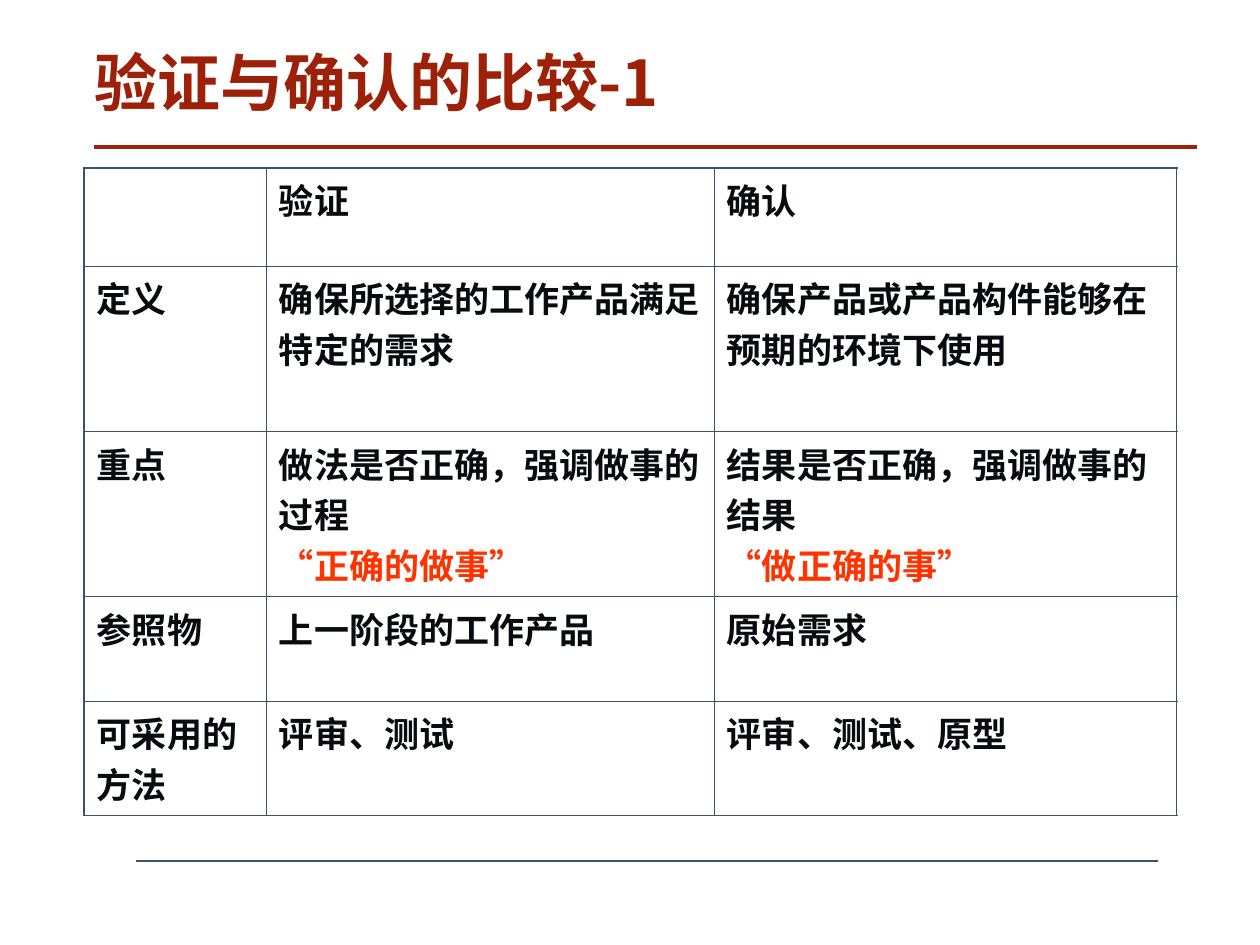
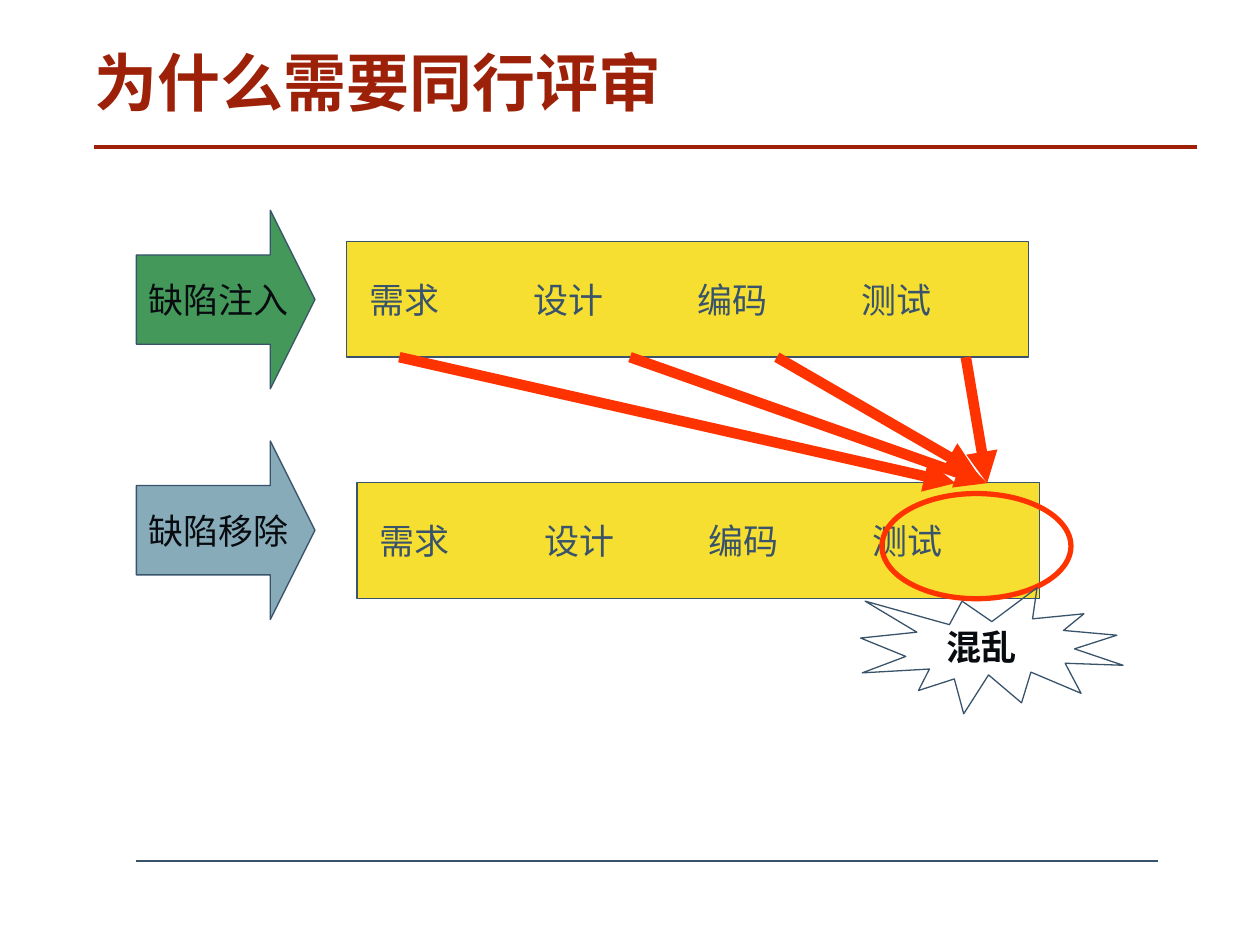
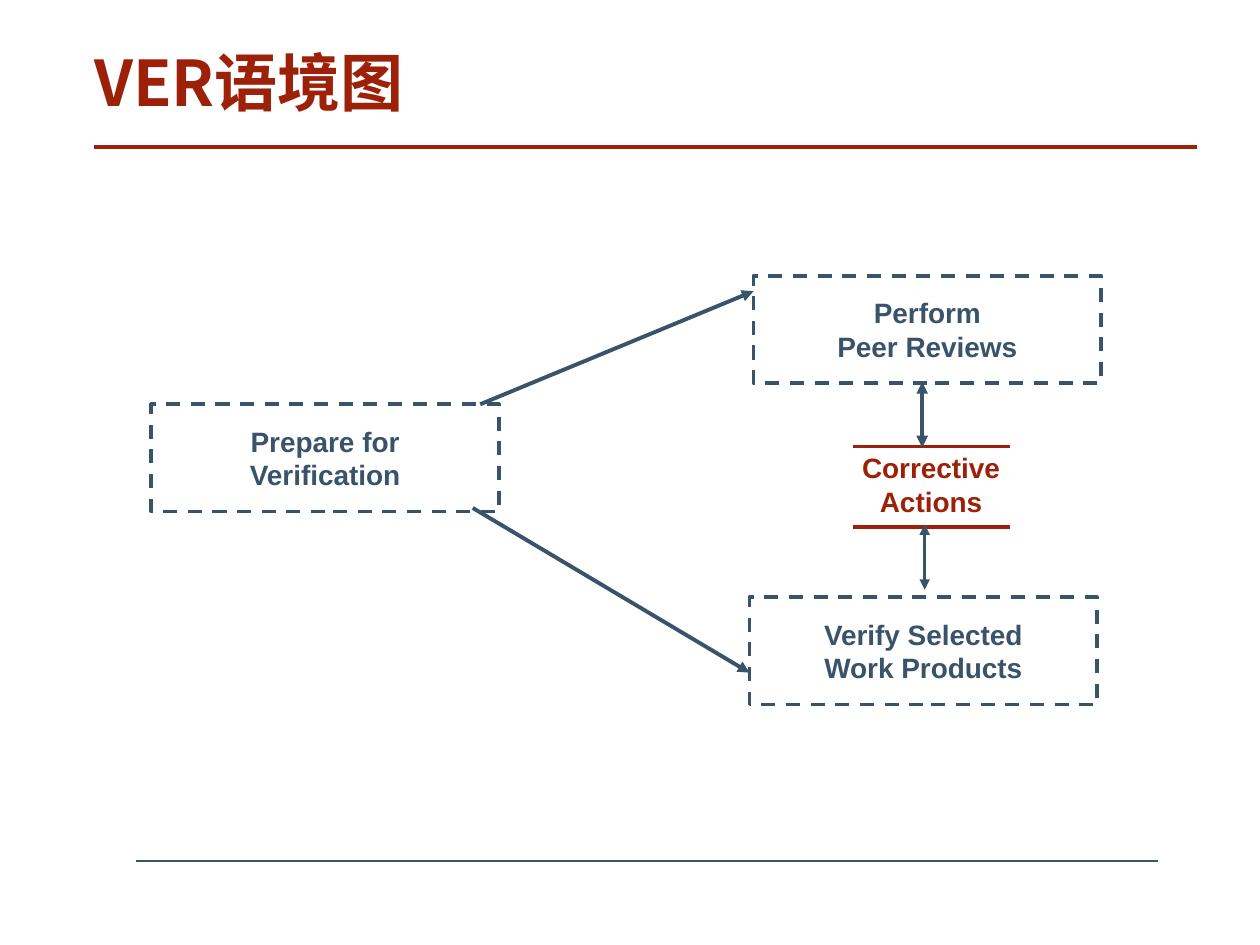
import pptx
import pptx.util
import pptx.dml.color
import pptx.enum.dml
import pptx.enum.shapes
import pptx.enum.text
import pptx.oxml.ns
from lxml import etree

Cm, Pt = pptx.util.Cm, pptx.util.Pt
SHAPE = pptx.enum.shapes.MSO_SHAPE
ALIGN = pptx.enum.text.PP_ALIGN
ANCHOR = pptx.enum.text.MSO_ANCHOR
qn = pptx.oxml.ns.qn

COLORS = {
    "slate": "39536B", "brick": "9C2108", "ink": "080C10", "red": "FF3300",
    "green": "44985A", "blue": "87ABB9", "yellow": "F7DF31",
}
CJK, LATIN = "Noto Sans CJK SC", "Arial"

FRAME_LINES = [
    ((2.75, 17.35), (23.34, 17.35), "slate", 1),
    ((1.9, 2.97), (24.13, 2.97), "brick", 2.25),
]
TITLE_BOX = (1.9, 1.07, 22.22, 1.55)

TABLE_TITLE = "验证与确认的比较-1"
TABLE_AT = (1.7, 3.38)
COL_WIDTHS = [3.67, 9.03, 9.32]
ROW_HEIGHTS = [1.98, 3.33, 3.33, 2.11, 2.31]
ROWS = [
    ["", "验证", "确认"],
    ["定义", "确保所选择的工作产品满足特定的需求", "确保产品或产品构件能够在预期的环境下使用"],
    ["重点", "做法是否正确，强调做事的过程", "结果是否正确，强调做事的结果"],
    ["参照物", "上一阶段的工作产品", "原始需求"],
    ["可采用的方法", "评审、测试", "评审、测试、原型"],
]
MOTTOS = {(2, 1): "“正确的做事”", (2, 2): "“做正确的事”"}

REVIEW_TITLE = "为什么需要同行评审"
STAGES = ["需求", "设计", "编码", "测试"]
STAGE_PITCH = 3.31
FLOWS = [
    ("缺陷注入", "green", 4.24, (6.98, 4.87)),
    ("缺陷移除", "blue", 8.89, (7.2, 9.73)),
]
ESCAPES = [
    ((8.05, 7.2), (19.26, 9.74)),
    ((12.7, 7.2), (19.9, 9.74)),
    ((15.66, 7.2), (19.69, 9.53)),
    ((19.47, 7.2), (19.9, 9.74)),
]

CONTEXT_TITLE = "VER语境图"
PRACTICE_SIZE = (7.01, 2.16)
PRACTICES = [
    ("Prepare for\nVerification", 3.05, 8.15),
    ("Perform\nPeer Reviews", 15.19, 5.56),
    ("Verify Selected\nWork Products", 15.11, 12.04),
]
ACTIONS = ("Corrective\nActions", (16.79, 8.97, 3.96, 1.6))
ACTION_RULES = [9.0, 10.62]
LINKS = [
    ((18.64, 10.57), (18.64, 11.89), 2, True),
    ((18.59, 7.7), (18.59, 9.02), 2.25, True),
    ((9.68, 8.15), (15.19, 5.87), 2.25, False),
    ((9.53, 10.24), (15.11, 13.56), 2.25, False),
]


def rgb(name):
    return pptx.dml.color.RGBColor.from_string(COLORS[name])


def write(p, text, size=20, color="ink", bold=False, font=LATIN, align=ALIGN.LEFT):
    p.alignment = align
    for i, part in enumerate(text.split("\n")):
        if i:
            p.add_line_break()
        r = p.add_run()
        r.text = part
        r.font.size, r.font.bold, r.font.name = Pt(size), bold, font
        r.font.color.rgb = rgb(color)
        etree.SubElement(r.font._element, qn("a:ea"), typeface=CJK)


def setup_frame(tf, inset=(0.25, 0.13, 0.25, 0.13), anchor=ANCHOR.MIDDLE):
    tf.word_wrap = True
    tf.auto_size = pptx.enum.text.MSO_AUTO_SIZE.NONE
    tf.vertical_anchor = anchor
    tf.margin_left, tf.margin_top, tf.margin_right, tf.margin_bottom = map(Cm, inset)
    return tf.paragraphs[0]


def add_line(s, start, end, color, width, head=False, tail=False):
    c = s.shapes.add_connector(pptx.enum.shapes.MSO_CONNECTOR.STRAIGHT,
                               *map(Cm, start + end))
    c.line.color.rgb = rgb(color)
    c.line.width = Pt(width)
    ln = c.line._get_or_add_ln()
    for tag, wanted in (("a:headEnd", head), ("a:tailEnd", tail)):
        if wanted:
            etree.SubElement(ln, qn(tag), type="triangle")
    etree.SubElement(c.element.spPr, qn("a:effectLst"))
    return c


def add_shape(s, kind, box, fill=None, line="slate", width=0.75, dash=False):
    sp = s.shapes.add_shape(kind, *map(Cm, box))
    sp.shadow.inherit = False
    if fill:
        sp.fill.solid()
        sp.fill.fore_color.rgb = rgb(fill)
    else:
        sp.fill.background()
    sp.line.color.rgb = rgb(line)
    sp.line.width = Pt(width)
    if dash:
        sp.line.dash_style = pptx.enum.dml.MSO_LINE.DASH
    return sp


def add_slide(prs, title):
    s = prs.slides.add_slide(prs.slide_layouts[5])
    sp = s.shapes.title
    sp.left, sp.top, sp.width, sp.height = map(Cm, TITLE_BOX)
    p = setup_frame(sp.text_frame, (0, 0, 0, 0), ANCHOR.TOP)
    p.line_spacing = 0.89
    write(p, title, size=36, color="brick", bold=True, font=CJK)
    return s


def add_layout_lines(prs, s):
    for line in FRAME_LINES:
        prs.slide_layouts[5].shapes.element.append(add_line(s, *line).element)


def set_border(cell, side, width):
    ln = etree.SubElement(cell._tc.get_or_add_tcPr(), qn("a:ln" + side),
                          w=str(Pt(width)))
    fill = etree.SubElement(ln, qn("a:solidFill"))
    etree.SubElement(fill, qn("a:srgbClr"), val=COLORS["slate"])


def build_table(s):
    n_rows, n_cols = len(ROWS), len(COL_WIDTHS)
    size = (sum(COL_WIDTHS), sum(ROW_HEIGHTS))
    table = s.shapes.add_table(n_rows, n_cols, *map(Cm, TABLE_AT + size)).table
    table.first_row = table.horz_banding = False
    for col, width in zip(table.columns, COL_WIDTHS):
        col.width = Cm(width)
    for row, height in zip(table.rows, ROW_HEIGHTS):
        row.height = Cm(height)
    for i, row in enumerate(ROWS):
        for j, text in enumerate(row):
            cell = table.cell(i, j)
            outer = {"L": j == 0, "R": j == n_cols - 1,
                     "T": i == 0, "B": i == n_rows - 1}
            for side, is_outer in outer.items():
                set_border(cell, side, 1.08 if is_outer else 0.45)
            cell.fill.background()
            tf = cell.text_frame
            if text:
                write(tf.paragraphs[0], text, bold=True, font=CJK)
            if (i, j) in MOTTOS:
                write(tf.add_paragraph(), MOTTOS[i, j], color="red", bold=True, font=CJK)


def build_review(s):
    for label, color, top, bar_at in FLOWS:
        arrow = add_shape(s, SHAPE.RIGHT_ARROW, (2.75, top, 3.6, 3.6), color)
        arrow.adjustments[0], arrow.adjustments[1] = 0.5, 0.25
        write(setup_frame(arrow.text_frame, (0.25, 0.13, 0, 0.13)), label)
        bar = add_shape(s, SHAPE.RECTANGLE, bar_at + (13.76, 2.33), "yellow")
        p = setup_frame(bar.text_frame, (0.46, 0.13, 0.25, 0.13))
        write(p, "\t".join(STAGES), color="slate")
        tabs = etree.SubElement(p._p.get_or_add_pPr(), qn("a:tabLst"))
        for k in range(1, len(STAGES)):
            etree.SubElement(tabs, qn("a:tab"), pos=str(Cm(k * STAGE_PITCH)), algn="l")
    for start, end in ESCAPES:
        add_line(s, start, end, "red", 6, tail=True)
    add_shape(s, SHAPE.OVAL, (17.78, 9.95, 3.81, 2.12), line="red", width=3)
    burst = add_shape(s, SHAPE.EXPLOSION1, (17.35, 11.85, 5.29, 2.54))
    p = setup_frame(burst.text_frame, (0, 0, 0.36, 0))
    write(p, "混乱", bold=True, align=ALIGN.CENTER)


def build_context(s):
    style = dict(size=16, bold=True, align=ALIGN.CENTER)
    for text, left, top in PRACTICES:
        sp = add_shape(s, SHAPE.RECTANGLE, (left, top) + PRACTICE_SIZE,
                       width=2, dash=True)
        write(setup_frame(sp.text_frame), text, color="slate", **style)
    text, box = ACTIONS
    tb = s.shapes.add_textbox(*map(Cm, box))
    write(setup_frame(tb.text_frame), text, color="brick", **style)
    for y in ACTION_RULES:
        add_line(s, (17.2, y), (20.37, y), "brick", 2)
    for start, end, width, both in LINKS:
        add_line(s, start, end, "slate", width, head=both, tail=True)


def main():
    prs = pptx.Presentation()
    prs.slide_width, prs.slide_height = Cm(25.4), Cm(19.05)
    pages = [(TABLE_TITLE, build_table), (REVIEW_TITLE, build_review),
             (CONTEXT_TITLE, build_context)]
    for title, build in pages:
        build(add_slide(prs, title))
    add_layout_lines(prs, prs.slides[0])
    prs.save("out.pptx")


if __name__ == "__main__":
    main()
